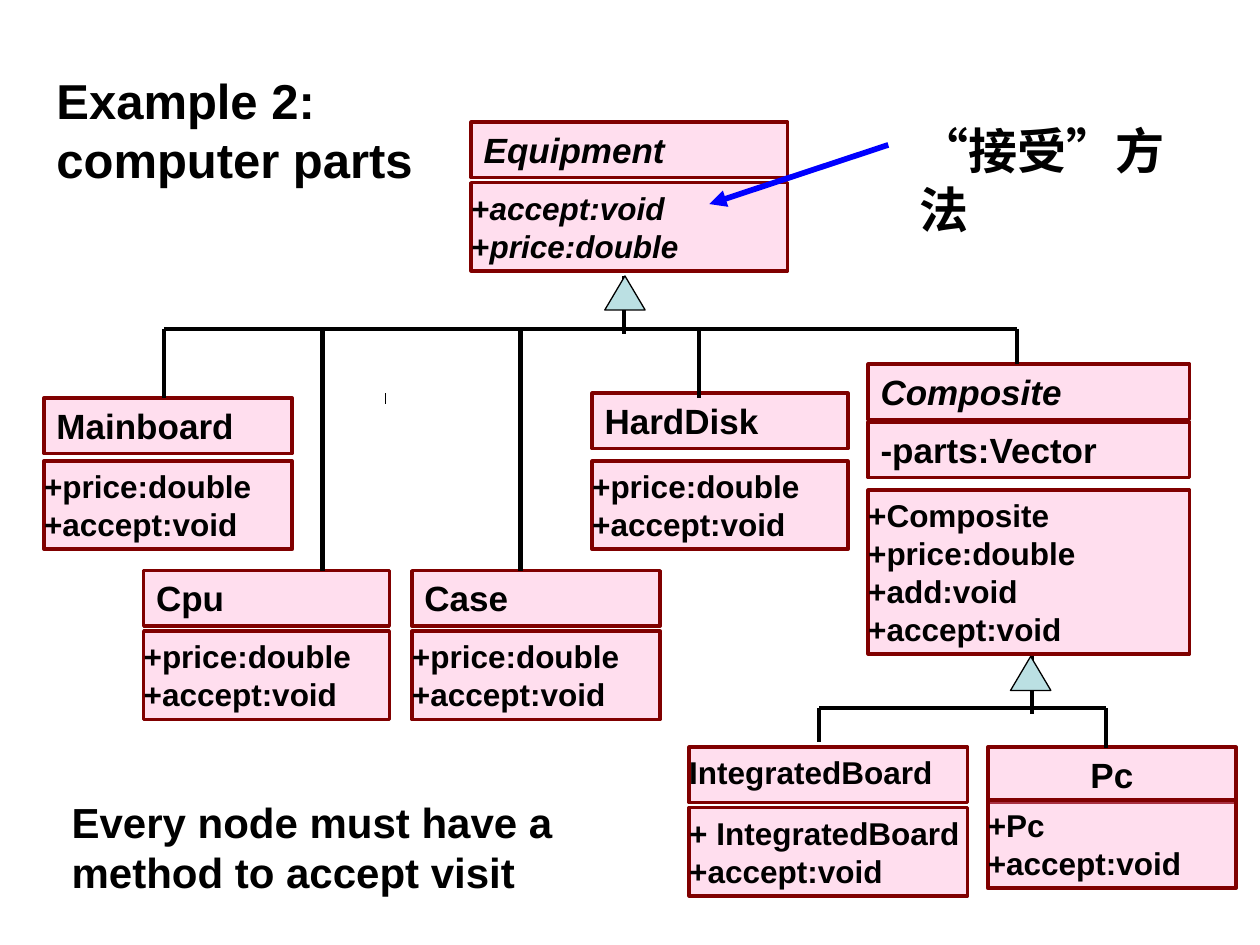
import pptx
import pptx.util
import pptx.dml.color
import pptx.enum.shapes
import pptx.enum.text
import pptx.oxml
import pptx.oxml.ns
from pptx.util import Inches

SHAPES = pptx.enum.shapes.MSO_SHAPE
ALIGN = pptx.enum.text.PP_ALIGN
HEADER_HEIGHT = 0.44


def color(hex_code):
    return pptx.dml.color.RGBColor.from_string(hex_code)


def add_xml(parent, tag, **attributes):
    child = pptx.oxml.parse_xml(f"<a:{tag} {pptx.oxml.ns.nsdecls('a')}/>")
    for key, value in attributes.items():
        child.set(key, value)
    parent.append(child)


def write_lines(frame, lines, size, inset=0.1, italic=False, align=ALIGN.LEFT):
    frame.word_wrap = True
    frame.vertical_anchor = pptx.enum.text.MSO_ANCHOR.TOP
    frame.margin_left = frame.margin_right = Inches(inset)
    frame.margin_top = frame.margin_bottom = Inches(0.05)
    for index, line in enumerate(lines):
        paragraph = frame.add_paragraph() if index else frame.paragraphs[0]
        paragraph.alignment = align
        paragraph.line_spacing = pptx.util.Pt(size * 1.2)
        paragraph.font.name = "Arial"
        paragraph.font.size = pptx.util.Pt(size)
        paragraph.font.bold = True
        paragraph.font.color.rgb = color("000000")
        if italic and line.startswith("+"):
            paragraph.add_run().text = "+"
            name = paragraph.add_run()
            name.text = line[1:]
            name.font.italic = True
        else:
            paragraph.font.italic = italic
            paragraph.add_run().text = line


def add_note(slide, left, top, width, height, text, size):
    note = slide.shapes.add_textbox(*map(Inches, (left, top, width, height)))
    write_lines(note.text_frame, [text], size)


def add_outlined(slide, kind, left, top, width, height, fill, line, weight):
    outlined = slide.shapes.add_shape(kind, *map(Inches, (left, top, width, height)))
    outlined.shadow.inherit = False
    outlined.fill.solid()
    outlined.fill.fore_color.rgb = color(fill)
    outlined.line.color.rgb = color(line)
    outlined.line.width = pptx.util.Pt(weight)
    return outlined


def add_compartment(slide, left, top, width, height, lines, size, **text_style):
    compartment = add_outlined(slide, SHAPES.RECTANGLE, left, top, width, height,
                               "FF99CC", "800000", 2)
    fill_color = compartment.fill._xPr.find(".//" + pptx.oxml.ns.qn("a:srgbClr"))
    add_xml(fill_color, "alpha", val="32000")
    write_lines(compartment.text_frame, lines, size, **text_style)


def add_class(slide, left, top, width, title, members, members_top, fields=(),
              title_size=20, title_inset=0.1, title_italic=False,
              members_italic=False, align=ALIGN.LEFT):
    add_compartment(slide, left, top, width, HEADER_HEIGHT, [title], title_size,
                    inset=title_inset, italic=title_italic, align=align)
    for index, field in enumerate(fields, 1):
        add_compartment(slide, left, top + index * 0.46, width, HEADER_HEIGHT,
                        [field], 20)
    add_compartment(slide, left, members_top, width, 0.1 + 0.3 * len(members),
                    members, 18, inset=0, italic=members_italic)


def add_line(slide, start, end, weight=2.5, hex_code="000000", arrow=False):
    line = slide.shapes.add_connector(pptx.enum.shapes.MSO_CONNECTOR.STRAIGHT,
                                      *map(Inches, (*start, *end)))
    line.line.color.rgb = color(hex_code)
    line.line.width = pptx.util.Pt(weight)
    if arrow:
        add_xml(line.line._get_or_add_ln(), "tailEnd", type="triangle")
    add_xml(line._element.spPr, "effectLst")


def add_inheritance(slide, stem_x, stem_top, triangle_left, bar_y, branches):
    xs = [x for x, _ in branches]
    add_line(slide, (min(xs), bar_y), (max(xs), bar_y))
    for x, bottom in branches:
        add_line(slide, (x, bar_y), (x, bottom))
    add_line(slide, (stem_x, stem_top), (stem_x, stem_top + 0.46))
    add_outlined(slide, SHAPES.ISOSCELES_TRIANGLE, triangle_left, stem_top, 0.32, 0.27,
                 "BBE0E3", "000000", 0.75)


def add_class_diagram(slide):
    part_members = ["+price:double", "+accept:void"]
    add_class(slide, 3.74, 0.97, 2.51, "Equipment", ["+accept:void", "+price:double"], 1.45,
              title_italic=True, members_italic=True)
    for left, top, width, title, members_top in (
        (0.35, 3.16, 1.97, "Mainboard", 3.66),
        (4.7, 3.12, 2.03, "HardDisk", 3.66),
        (1.14, 4.53, 1.95, "Cpu", 5.01),
        (3.27, 4.53, 1.97, "Case", 5.01),
    ):
        add_class(slide, left, top, width, title, part_members, members_top)
    add_class(slide, 6.89, 2.89, 2.55, "Composite",
              ["+Composite", "+price:double", "+add:void", "+accept:void"], 3.89,
              fields=["-parts:Vector"], title_italic=True)
    add_class(slide, 5.47, 5.93, 2.21, "IntegratedBoard",
              ["+ IntegratedBoard", "+accept:void"], 6.41, title_size=18, title_inset=0)
    add_class(slide, 7.84, 5.93, 1.97, "Pc", ["+Pc", "+accept:void"], 6.35,
              align=ALIGN.CENTER)
    add_inheritance(slide, 4.95, 2.19, 4.8, 2.61,
                    [(1.3, 3.16), (2.56, 4.53), (4.13, 4.53), (5.55, 3.16), (8.07, 2.89)])
    add_inheritance(slide, 8.19, 5.21, 8.02, 5.62, [(6.5, 5.89), (8.78, 5.94)])
    add_line(slide, (3.06, 3.12), (3.06, 3.21), weight=0.75)


def add_annotations(slide):
    add_note(slide, 0.47, 6.27, 4.29, 0.9,
             "Every node must have a method to accept visit", 24)
    add_note(slide, 0.35, 0.51, 3.07, 1.04, "Example 2: computer parts", 28)
    add_line(slide, (7.05, 1.15), (5.63, 1.62), weight=3.25, hex_code="0000FF", arrow=True)
    add_note(slide, 7.2, 0.91, 2.28, 1.04, "“接受”方法", 28)


def main():
    presentation = pptx.Presentation()
    presentation.slide_width = Inches(10)
    presentation.slide_height = Inches(7.5)
    slide = presentation.slides.add_slide(presentation.slide_layouts[6])
    add_class_diagram(slide)
    add_annotations(slide)
    presentation.save("out.pptx")


if __name__ == "__main__":
    main()
